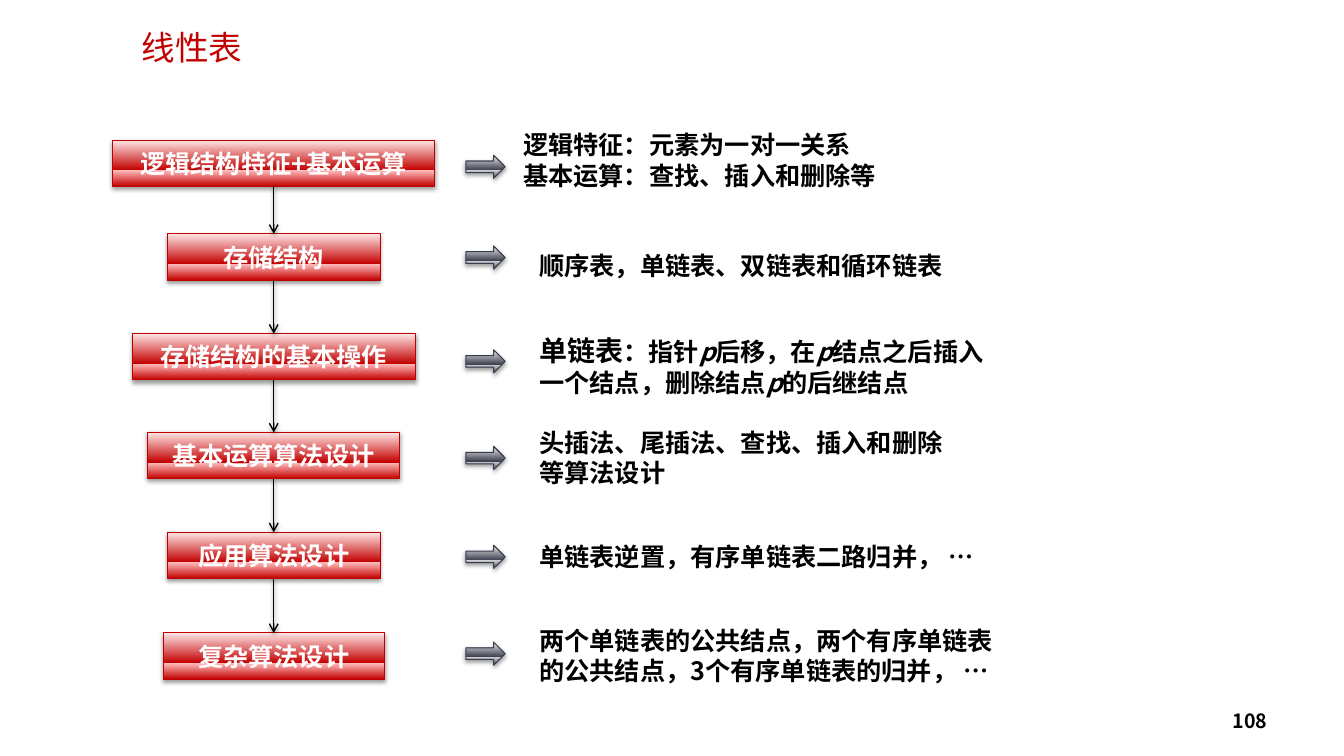
from itertools import pairwise
from lxml.etree import SubElement
from pptx import Presentation
from pptx.dml.color import RGBColor
from pptx.enum.shapes import MSO_CONNECTOR, MSO_SHAPE
from pptx.enum.text import MSO_ANCHOR, MSO_AUTO_SIZE, PP_ALIGN
from pptx.oxml.ns import qn
from pptx.util import Inches, Pt

RED = ("C30000", "BF0000", ("FFA1A1", "FFBDBD", "FFE6E6"))
GREY = ("3B3E4D", "393C4C", ("BDBEC4", "D1D2D5", "EEEEEF"))
MID = 2.715
TALL = 0.46


def paint(code):
    return RGBColor.from_string(code)


class Page:
    font = "Noto Sans CJK SC"
    black = "000000"
    white = "FFFFFF"

    def __init__(self, deck):
        self.slide = deck.slides.add_slide(deck.slide_layouts[6])
        self.shapes = self.slide.shapes

    def shade(self, props):
        effects = props.find(qn("a:effectLst"))
        if effects is None:
            effects = SubElement(props, qn("a:effectLst"))
        outer = SubElement(effects, qn("a:outerShdw"), blurRad="40000",
                           dist="20000", dir="5400000", rotWithShape="0")
        color = SubElement(outer, qn("a:srgbClr"), val=self.black)
        SubElement(color, qn("a:alpha"), val="38000")

    def fill(self, frame, lines, color, size=18, bold=True,
             align=PP_ALIGN.LEFT, space=None):
        frame.word_wrap = True
        for n, line in enumerate(lines):
            para = frame.paragraphs[0] if n == 0 else frame.add_paragraph()
            para.alignment = align
            if space:
                para.line_spacing = space
            for words, points, slant in line:
                run = para.add_run()
                run.text = words
                font = run.font
                font.name = self.font
                font.size = Pt(points or size)
                font.bold = bold
                font.italic = slant
                font.color.rgb = paint(color)
                SubElement(font._element, qn("a:ea"), typeface=self.font)

    def text(self, left, top, width, height, lines, grow=True, **style):
        box = self.shapes.add_textbox(*map(Inches, (left, top, width, height)))
        frame = box.text_frame
        if grow:
            frame.auto_size = MSO_AUTO_SIZE.SHAPE_TO_FIT_TEXT
        else:
            frame.vertical_anchor = MSO_ANCHOR.MIDDLE
        self.fill(frame, lines, style.pop("color", self.black), **style)

    def gloss(self, kind, left, top, width, height, theme):
        base, edge, tints = theme
        shape = self.shapes.add_shape(
            kind, *map(Inches, (left, top, width, height)))
        shape.fill.gradient()
        shape.fill.gradient_angle = 90
        props = shape._element.spPr
        stops = props.find(".//" + qn("a:gsLst"))
        stops.clear()
        for place, tint in zip((0, 35, 100), tints):
            for code in (tint, base):
                stop = SubElement(stops, qn("a:gs"), pos=str(place * 1000))
                SubElement(stop, qn("a:srgbClr"), val=code)
        shape.line.color.rgb = paint(edge)
        shape.line.width = Pt(0.75)
        shape.shadow.inherit = False
        self.shade(props)
        return shape

    def step(self, top, width, label):
        shape = self.gloss(MSO_SHAPE.RECTANGLE, MID - width / 2, top,
                           width, TALL, RED)
        frame = shape.text_frame
        frame.margin_top = frame.margin_bottom = Inches(0.08)
        frame.vertical_anchor = MSO_ANCHOR.MIDDLE
        self.fill(frame, [plain(label)], self.white, align=PP_ALIGN.CENTER)

    def point(self, top):
        self.gloss(MSO_SHAPE.RIGHT_ARROW, 4.62, top, 0.39, 0.23, GREY)

    def link(self, start, end):
        line = self.shapes.add_connector(
            MSO_CONNECTOR.STRAIGHT, *map(Inches, (MID, start, MID, end)))
        line.line.color.rgb = paint(self.black)
        line.line.width = Pt(1)
        props = line._element.spPr
        SubElement(props.find(qn("a:ln")), qn("a:tailEnd"), type="arrow")
        self.shade(props)


def plain(words):
    return [(words, None, False)]


def main():
    deck = Presentation()
    deck.slide_width = Inches(13.33)
    deck.slide_height = Inches(7.5)
    page = Page(deck)
    page.text(0.79, 0.3, 2.23, 0.42, [plain("线性表")], color="C30000",
              size=24, bold=False, align=PP_ALIGN.CENTER, space=0.8)

    steps = [
        (1.39, 3.2, "逻辑结构特征+基本运算"),
        (2.32, 2.11, "存储结构"),
        (3.31, 2.81, "存储结构的基本操作"),
        (4.29, 2.5, "基本运算算法设计"),
        (5.28, 2.11, "应用算法设计"),
        (6.28, 2.19, "复杂算法设计"),
    ]
    for step in steps:
        page.step(*step)
    for above, below in pairwise(steps):
        page.link(above[0] + TALL, below[0])
    for top in (1.54, 2.44, 3.47, 4.43, 5.41, 6.37):
        page.point(top)

    single = [
        ("单链表", 20, False), ("：指针", None, False),
        ("p", None, True), ("后移，在", None, False),
        ("p", None, True), ("结点之后插入一个结点，删除结点", None, False),
        ("p", None, True), ("的后继结点", None, False),
    ]
    notes = [
        (5.09, 1.23, 3.98, 0.72, Pt(22),
         [plain("逻辑特征：元素为一对一关系"),
          plain("基本运算：查找、插入和删除等")]),
        (5.25, 2.32, 4.38, 0.52, Pt(30),
         [plain("顺序表，单链表、双链表和循环链表")]),
        (5.25, 3.26, 4.61, 0.74, None, [single]),
        (5.25, 4.19, 4.3, 0.71, None,
         [plain("头插法、尾插法、查找、插入和删除等算法设计")]),
        (5.25, 5.32, 4.77, 0.4, None,
         [plain("单链表逆置，有序单链表二路归并， …")]),
        (5.25, 6.15, 4.77, 0.71, None,
         [plain("两个单链表的公共结点，两个有序单链表的公共结点，"
                "3个有序单链表的归并， …")]),
    ]
    for left, top, width, height, space, lines in notes:
        page.text(left, top, width, height, lines, space=space)
    page.text(9.56, 6.95, 3.11, 0.4, [plain("108")], grow=False,
              size=14, align=PP_ALIGN.RIGHT)
    deck.save("out.pptx")


if __name__ == "__main__":
    main()
